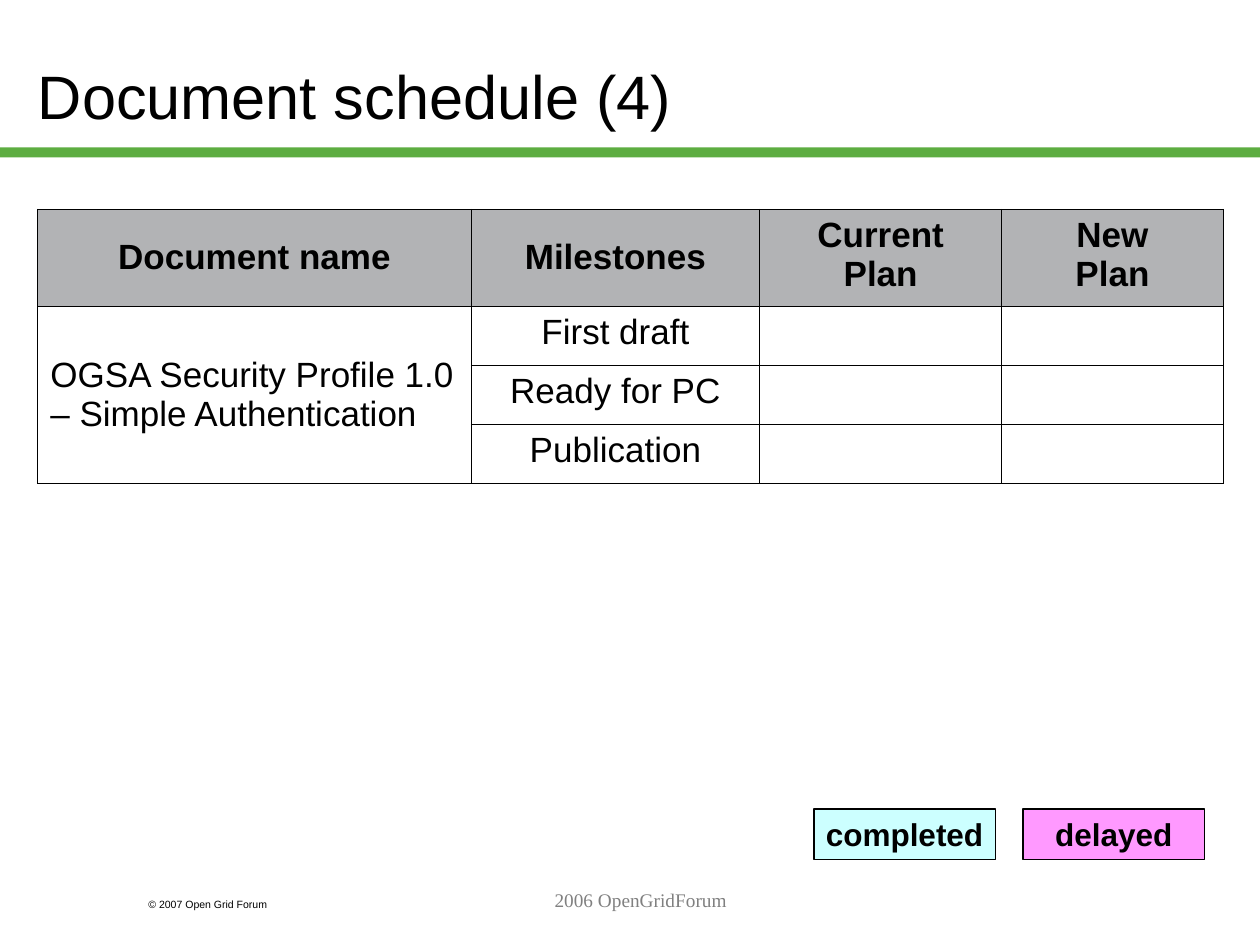
from lxml import etree
from pptx import Presentation
from pptx.dml.color import RGBColor
from pptx.enum import shapes, text
from pptx.oxml import ns
from pptx.util import Inches, Pt

BLACK = RGBColor(0x00, 0x00, 0x00)
GREY = RGBColor(0x80, 0x80, 0x80)
GREEN = RGBColor(0x5D, 0xAD, 0x41)
HEADER_GREY = RGBColor(0xB2, 0xB3, 0xB5)
CYAN = RGBColor(0xCC, 0xFF, 0xFF)
PINK = RGBColor(0xFF, 0x99, 0xFF)

TITLE = "Document schedule (4)"
HEADERS = [["Document name"], ["Milestones"], ["Current", "Plan"], ["New", "Plan"]]
DOCUMENT = ["OGSA Security Profile 1.0", "– Simple Authentication"]
MILESTONES = ["First draft", "Ready for PC", "Publication"]
LEGEND = [("completed", CYAN), ("delayed", PINK)]
COLUMN_WIDTHS = [3.44, 2.29, 1.92, 1.76]
ROW_HEIGHTS = [0.77] + [0.47] * len(MILESTONES)

LEFT, CENTER = text.PP_ALIGN.LEFT, text.PP_ALIGN.CENTER
TOP, MIDDLE = text.MSO_ANCHOR.TOP, text.MSO_ANCHOR.MIDDLE


def write(frame, lines, size, color=BLACK, bold=False, align=LEFT, font="Arial"):
    for number, line in enumerate(lines):
        para = frame.add_paragraph() if number else frame.paragraphs[0]
        para.alignment = align
        span = para.add_run()
        span.text = line
        span.font.name = font
        span.font.size = Pt(size)
        span.font.bold = bold
        span.font.color.rgb = color


def add_box(page, left, top, width, height, fill):
    box = page.shapes.add_shape(shapes.MSO_SHAPE.RECTANGLE, Inches(left),
                                Inches(top), Inches(width), Inches(height))
    box.shadow.inherit = False
    box.fill.solid()
    box.fill.fore_color.rgb = fill
    box.line.fill.background()
    return box


def add_note(page, left, top, width, height, line, size, **style):
    box = page.shapes.add_textbox(Inches(left), Inches(top), Inches(width), Inches(height))
    box.text_frame.word_wrap = True
    write(box.text_frame, [line], size, **style)


def add_borders(cell):
    """Draw thin black lines on all four sides of a cell."""
    properties = cell._tc.get_or_add_tcPr()
    for position, side in enumerate(("a:lnL", "a:lnR", "a:lnT", "a:lnB")):
        line = etree.Element(ns.qn(side), w=str(Pt(0.45)))
        fill = etree.SubElement(line, ns.qn("a:solidFill"))
        etree.SubElement(fill, ns.qn("a:srgbClr"), val=str(BLACK))
        properties.insert(position, line)


def fill_cell(cell, lines, anchor=TOP, **style):
    cell.vertical_anchor = anchor
    write(cell.text_frame, lines, 20, **style)


def add_schedule(page):
    frame = page.shapes.add_table(
        len(ROW_HEIGHTS), len(COLUMN_WIDTHS), Inches(0.3), Inches(1.66),
        Inches(sum(COLUMN_WIDTHS)), Inches(sum(ROW_HEIGHTS)))
    table = frame.table
    for column, width in zip(table.columns, COLUMN_WIDTHS):
        column.width = Inches(width)
    for row, height in zip(table.rows, ROW_HEIGHTS):
        row.height = Inches(height)
    for row_number, row in enumerate(table.rows):
        for cell in row.cells:
            if row_number:
                cell.fill.background()
            else:
                cell.fill.solid()
                cell.fill.fore_color.rgb = HEADER_GREY
            add_borders(cell)
    for column, lines in enumerate(HEADERS):
        anchor = MIDDLE if len(lines) == 1 else TOP
        fill_cell(table.cell(0, column), lines, anchor, bold=True, align=CENTER)
    table.cell(1, 0).merge(table.cell(len(MILESTONES), 0))
    fill_cell(table.cell(1, 0), DOCUMENT, MIDDLE)
    for row, milestone in enumerate(MILESTONES, 1):
        fill_cell(table.cell(row, 1), [milestone], align=CENTER)


def add_legend(page):
    for number, (label, color) in enumerate(LEGEND):
        box = add_box(page, 6.46 + number * 1.66, 6.42, 1.44, 0.4, color)
        box.line.color.rgb = BLACK
        box.line.width = Pt(0.75)
        box.text_frame.word_wrap = False
        box.text_frame.vertical_anchor = MIDDLE
        write(box.text_frame, [label], 18, bold=True, align=CENTER)


def main():
    deck = Presentation()
    deck.slide_width, deck.slide_height = Inches(10), Inches(7.5)
    page = deck.slides.add_slide(deck.slide_layouts[5])

    add_box(page, 0, 1.17, 10, 0.08, GREEN)
    add_note(page, 1.08, 7.08, 1.5, 0.2, "© 2007 Open Grid Forum", 6)

    title = page.shapes.title
    title.left, title.top = Inches(0.2), Inches(0.13)
    title.width, title.height = Inches(8.5), Inches(1.25)
    title.text_frame.vertical_anchor = MIDDLE
    write(title.text_frame, [TITLE], 35)

    add_schedule(page)
    add_legend(page)
    add_note(page, 2.17, 7, 5.83, 0.5, "2006 OpenGridForum", 11,
             color=GREY, align=CENTER, font="Times New Roman")
    deck.save("out.pptx")


if __name__ == "__main__":
    main()
